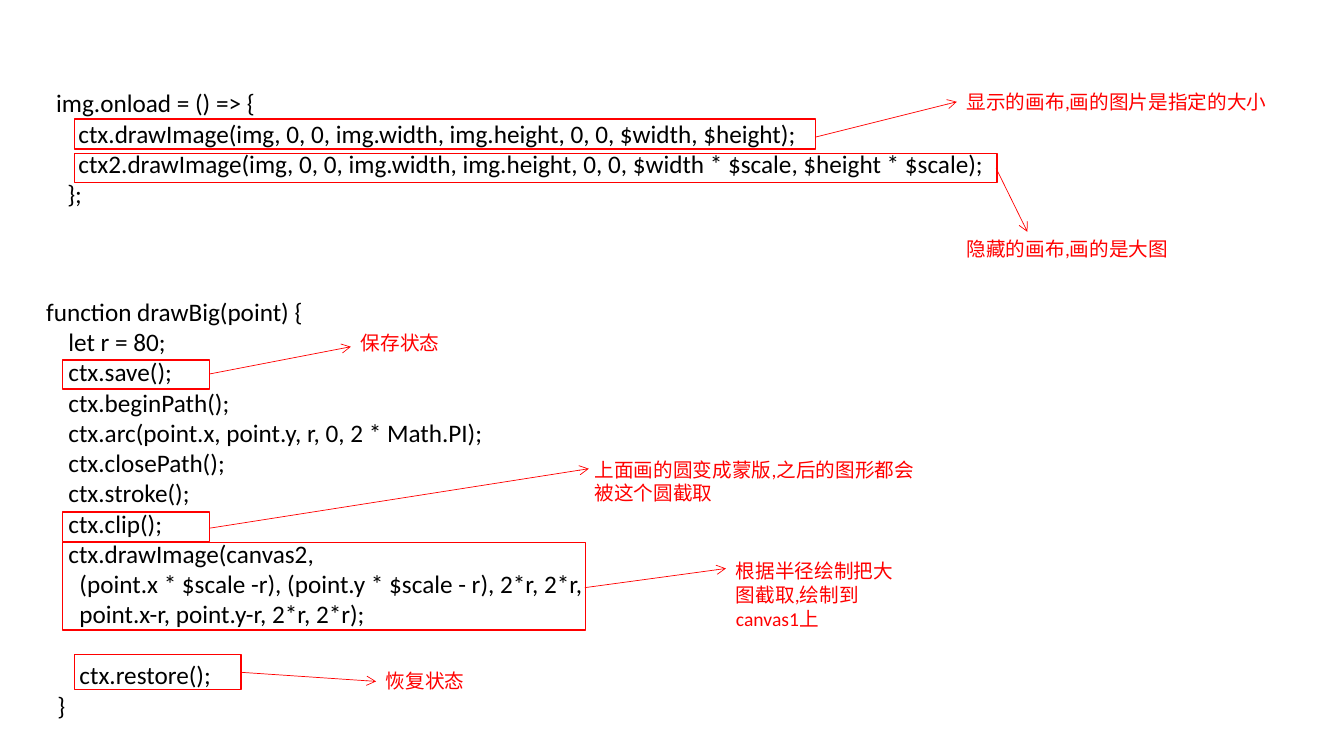
"""Build a slide of annotated canvas magnifier code."""
from dataclasses import dataclass

from lxml.etree import SubElement
from pptx import Presentation
from pptx.dml.color import RGBColor
from pptx.enum.shapes import MSO_CONNECTOR as Connector, MSO_SHAPE as Preset
from pptx.enum.text import MSO_AUTO_SIZE as AutoSize
from pptx.oxml.ns import qn
from pptx.slide import Slide
from pptx.util import Emu, Pt


@dataclass(frozen=True)
class Theme:
    font: str = "Calibri"
    ink: RGBColor = RGBColor(0, 0, 0)
    accent: RGBColor = RGBColor(255, 0, 0)
    code_size: Pt = Pt(18)
    note_size: Pt = Pt(14)
    blank_line: Pt = Pt(22)
    frame_line: Pt = Pt(1)
    arrow_line: Pt = Pt(0.5)


@dataclass(frozen=True)
class Area:
    left: int
    top: int
    width: int
    height: int


@dataclass(frozen=True)
class Line:
    text: str
    level: int = 0
    gap_before: bool = False


@dataclass(frozen=True)
class CodeBlock:
    area: Area
    lines: tuple[Line, ...]


@dataclass(frozen=True)
class Callout:
    frame: Area
    start: tuple[int, int]
    end: tuple[int, int]
    note_area: Area
    note: str


THEME = Theme()
SCALE = 9144
INDENT = 11

CODE_BLOCKS = (
    CodeBlock(Area(46, 82, 966, 131), (
        Line("img.onload = () => {"),
        Line("ctx.drawImage(img, 0, 0, img.width, img.height, 0, 0, $width, $height);", 2),
        Line("ctx2.drawImage(img, 0, 0, img.width, img.height, 0, 0, "
             "$width * $scale, $height * $scale);", 2),
        Line("};", 1),
    )),
    CodeBlock(Area(36, 289, 881, 434), (
        Line("function drawBig(point) {"),
        Line("let r = 80;", 2),
        Line("ctx.save();", 2),
        Line("ctx.beginPath();", 2),
        Line("ctx.arc(point.x, point.y, r, 0, 2 * Math.PI);", 2),
        Line("ctx.closePath();", 2),
        Line("ctx.stroke();", 2),
        Line("ctx.clip();", 2),
        Line("ctx.drawImage(canvas2,", 2),
        Line("(point.x * $scale -r), (point.y * $scale - r), 2*r, 2*r,", 3),
        Line("point.x-r, point.y-r, 2*r, 2*r);", 3),
        Line("ctx.restore();", 3, gap_before=True),
        Line("}", 1),
    )),
)

CALLOUTS = (
    Callout(Area(62, 357, 146, 29), (208, 371), (348, 344),
            Area(348, 323, 208, 34), "保存状态"),
    Callout(Area(74, 649, 165, 35), (239, 667), (373, 676),
            Area(373, 659, 208, 34), "恢复状态"),
    Callout(Area(62, 538, 519, 87), (580, 583), (720, 564),
            Area(720, 550, 188, 81), "根据半径绘制把大图截取,绘制到canvas1上"),
    Callout(Area(62, 508, 146, 29), (208, 524), (584, 465),
            Area(580, 449, 337, 57), "上面画的圆变成蒙版,之后的图形都会被这个圆截取"),
    Callout(Area(74, 118, 735, 30), (809, 136), (949, 101),
            Area(949, 84, 330, 34), "显示的画布,画的图片是指定的大小"),
    Callout(Area(74, 152, 915, 29), (988, 167), (1019, 230),
            Area(949, 230, 330, 34), "隐藏的画布,画的是大图"),
)


def px(length: int) -> Emu:
    """Turn px into EMU."""
    return Emu(length * SCALE)


def bounds(area: Area) -> tuple[Emu, Emu, Emu, Emu]:
    """Give an area's left, top, width and height in EMU."""
    return px(area.left), px(area.top), px(area.width), px(area.height)


def add_text(page: Slide, area: Area, lines: tuple[Line, ...],
             size: Pt, colour: RGBColor) -> None:
    """Write indented lines in a text box."""
    frame = page.shapes.add_textbox(*bounds(area)).text_frame
    frame.word_wrap = True
    frame.auto_size = AutoSize.SHAPE_TO_FIT_TEXT
    for index, line in enumerate(lines):
        para = frame.add_paragraph() if index else frame.paragraphs[0]
        if line.level:
            properties = para._p.get_or_add_pPr()
            properties.set("marL", str(px(line.level * INDENT)))
            properties.set("indent", "0")
        if line.gap_before:
            para.space_before = THEME.blank_line
        span = para.add_run()
        span.text = line.text
        span.font.name = THEME.font
        span.font.size = size
        span.font.color.rgb = colour


def add_frame(page: Slide, area: Area) -> None:
    """Outline a piece of code."""
    box = page.shapes.add_shape(Preset.RECTANGLE, *bounds(area))
    box.shadow.inherit = False
    box.fill.background()
    box.line.color.rgb = THEME.accent
    box.line.width = THEME.frame_line


def add_arrow(page: Slide, start: tuple[int, int], end: tuple[int, int]) -> None:
    """Draw a thin line with an open arrowhead at its end."""
    arrow = page.shapes.add_connector(
        Connector.STRAIGHT, *map(px, start), *map(px, end))
    arrow.line.color.rgb = THEME.accent
    arrow.line.width = THEME.arrow_line
    SubElement(arrow.line._get_or_add_ln(), qn("a:tailEnd"), type="arrow")
    SubElement(arrow._element.spPr, qn("a:effectLst"))


def add_callout(page: Slide, callout: Callout) -> None:
    """Frame some code and point from it to its note."""
    add_frame(page, callout.frame)
    add_arrow(page, callout.start, callout.end)
    add_text(page, callout.note_area, (Line(callout.note),),
             THEME.note_size, THEME.accent)


def main() -> None:
    """Build and save the deck."""
    deck = Presentation()
    deck.slide_width, deck.slide_height = px(1333), px(750)
    page = deck.slides.add_slide(deck.slide_layouts[6])
    for block in CODE_BLOCKS:
        add_text(page, block.area, block.lines, THEME.code_size, THEME.ink)
    for callout in CALLOUTS:
        add_callout(page, callout)
    deck.save("out.pptx")


if __name__ == "__main__":
    main()
